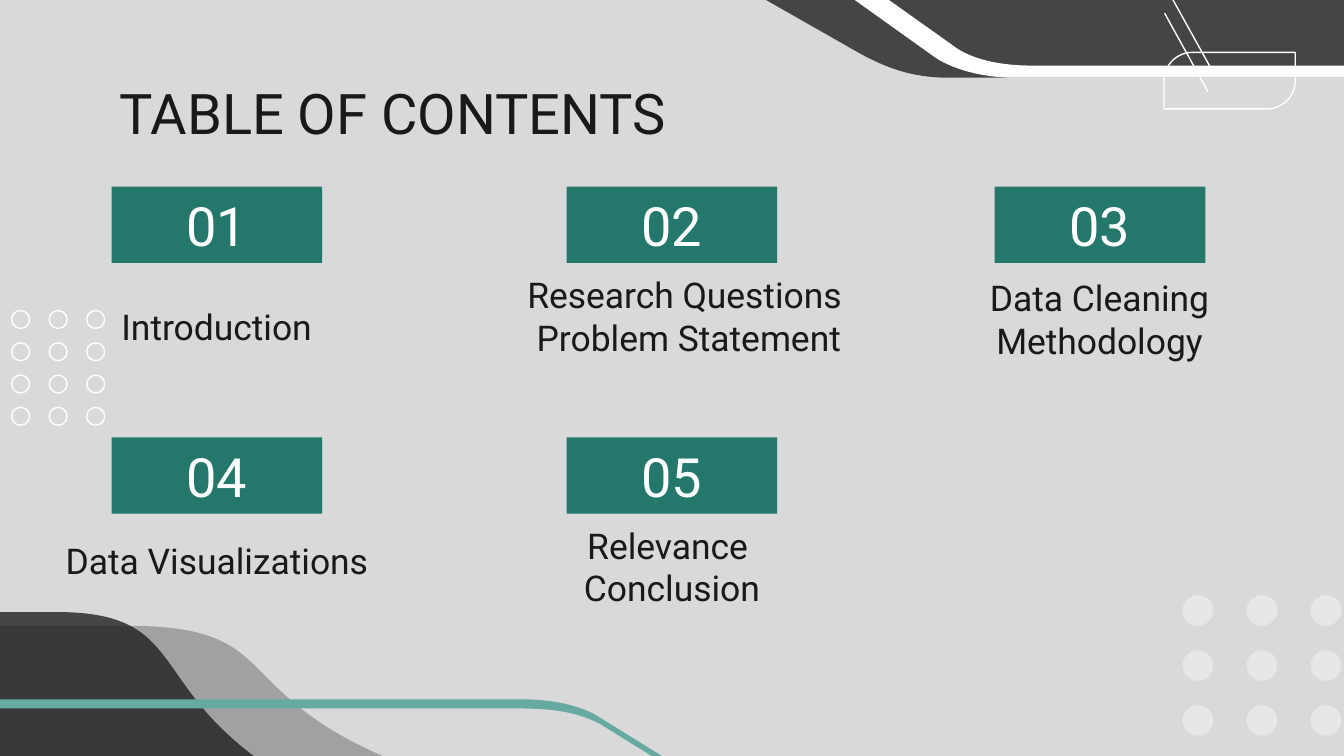
from dataclasses import dataclass

from lxml import etree
from pptx import Presentation
from pptx import util as u
from pptx.dml.color import RGBColor
from pptx.enum import shapes, text
from pptx.oxml.ns import qn

COLOURS = {"page": "D9D9D9", "ink": "191919", "white": "FFFFFF",
           "badge": "23776B", "stripe": "66AAA2"}
FONT = "Roboto"


@dataclass
class Topic:
    number: str
    column: int
    row: int
    label_area: tuple[float, float, float, float]
    lines: list[str]


@dataclass
class Dots:
    left: float
    top: float
    step_x: float
    step_y: float
    size: float
    rows: int
    filled: bool


@dataclass
class Ribbon:
    """Outline in cm: a 2-tuple is a corner, a 6-tuple a Bezier curve."""
    colour: str
    opacity: int
    outline: list[tuple]


COLUMNS = (2.11, 10.71, 18.8)
ROWS = (3.53, 8.27)
TOPICS = [
    Topic("01", 0, 0, (1.43, 5.5, 5.33, 1.32), ["Introduction"]),
    Topic("02", 1, 0, (8.92, 5.7, 8.2, 1.32), ["Research Questions ", "Problem Statement"]),
    Topic("03", 2, 0, (16.68, 5.23, 8.2, 1.85), ["Data Cleaning", "Methodology"]),
    Topic("04", 0, 1, (0, 9.93, 8.2, 1.32), ["Data Visualizations"]),
    Topic("05", 1, 1, (8.6, 9.91, 8.2, 1.85), ["Relevance ", "Conclusion"]),
]
TOP_RIBBONS = [
    Ribbon("ink", 77, [(17.93, 1.47), (17.22, 1.47, 16.71, 1.27, 16.18, 0.97),
                       (13.23, -0.71), (27.18, -0.71), (27.18, 1.47)]),
    Ribbon("white", 100, [(15.16, -0.71), (17.68, 1.09),
                          (18.03, 1.32, 18.59, 1.47, 19.18, 1.47),
                          (27.1, 1.47), (27.1, 1.24), (19.48, 1.24),
                          (18.9, 1.24, 18.34, 1.12, 18.01, 0.86), (15.8, -0.71)]),
]
BOTTOM_RIBBONS = [
    Ribbon("ink", 29, [(2.41, 11.83), (5.33, 11.83, 4.29, 13, 7.23, 14.29),
                       (-6.38, 14.29), (-6.38, 11.83)]),
    Ribbon("ink", 77, [(1.07, 11.57), (3.61, 11.57, 2.72, 13, 5.26, 14.61),
                       (-6.5, 14.61), (-6.5, 11.57)]),
    Ribbon("stripe", 100, [(11.35, 13.69), (10.82, 13.41, 10.29, 13.39, 9.6, 13.39),
                           (-12.67, 13.39), (-12.67, 13.22), (9.91, 13.22),
                           (10.44, 13.22, 10.95, 13.34, 11.25, 13.51),
                           (13.56, 14.94), (13.36, 14.94)]),
]
RING_GRID = Dots(0.22, 5.87, 0.71, 0.61, 0.34, 4, False)
DISC_GRID = Dots(22.35, 11.25, 1.21, 1.04, 0.58, 3, True)
SLASHES = [(22.89, 1.3, 22.07, -0.18), (22.83, 1.73, 22.01, 0.25)]


def rgb(name: str) -> RGBColor:
    return RGBColor.from_string(COLOURS[name])


def lengths(values) -> list:
    return [u.Cm(value) for value in values]


def paint(shape, colour: str, opacity: int = 100) -> None:
    """Solid fill, no line, no shadow."""
    shape.shadow.inherit = False
    shape.line.fill.background()
    shape.fill.solid()
    shape.fill.fore_color.rgb = rgb(colour)
    if opacity < 100:
        fill = shape.fill._xPr.find(qn("a:solidFill"))
        etree.SubElement(fill[0], qn("a:alpha"), val=str(opacity * 1000))


def stroke(line) -> None:
    line.color.rgb = rgb("white")
    line.width = u.Pt(0.75)


def outline_only(shape) -> None:
    shape.shadow.inherit = False
    shape.fill.background()
    stroke(shape.line)


def write(shape, lines: list[str], size: int, colour: str, anchor, align) -> None:
    frame = shape.text_frame
    margins = {f"margin_{side}": u.Cm(0.25) for side in ("left", "top", "right", "bottom")}
    frame_format = {"word_wrap": True, "auto_size": text.MSO_AUTO_SIZE.NONE,
                    "vertical_anchor": anchor, **margins}
    for name, value in frame_format.items():
        setattr(frame, name, value)
    for index, line in enumerate(lines):
        para = frame.add_paragraph() if index else frame.paragraphs[0]
        para.alignment = align
        span = para.add_run()
        span.text = line
        for name, value in {"size": u.Pt(size), "name": FONT, "bold": False}.items():
            setattr(span.font, name, value)
        span.font.color.rgb = rgb(colour)


def draw_ribbon(page, ribbon: Ribbon) -> None:
    points = [lengths(part[i:i + 2]) for part in ribbon.outline
              for i in range(0, len(part), 2)]
    builder = page.shapes.build_freeform(*points[0], scale=1.0)
    builder.add_line_segments(points[1:], close=True)
    shape = builder.convert_to_shape()

    # Join the three points of each curve into one Bezier segment
    segments = iter(list(shape._element.iter(qn("a:lnTo"))))
    for part in ribbon.outline[1:]:
        segment = next(segments)
        if len(part) == 6:
            curve = etree.Element(qn("a:cubicBezTo"))
            segment.addprevious(curve)
            for node in (segment, next(segments), next(segments)):
                curve.append(node[0])
                node.getparent().remove(node)
    paint(shape, ribbon.colour, ribbon.opacity)


def draw_dots(page, dots: Dots) -> None:
    group = page.shapes.add_group_shape()
    for row in range(dots.rows):
        for column in range(3):
            area = (dots.left + column * dots.step_x, dots.top + row * dots.step_y,
                    dots.size, dots.size)
            dot = group.shapes.add_shape(shapes.MSO_SHAPE.OVAL, *lengths(area))
            if dots.filled:
                paint(dot, "white", 37)
            else:
                outline_only(dot)


def draw_topic(page, topic: Topic) -> None:
    area = (COLUMNS[topic.column], ROWS[topic.row], 3.98, 1.44)
    badge = page.shapes.add_shape(shapes.MSO_SHAPE.RECTANGLE, *lengths(area))
    paint(badge, "badge")
    center = text.PP_ALIGN.CENTER
    write(badge, [topic.number], 29, "white", text.MSO_ANCHOR.MIDDLE, center)
    label = page.shapes.add_textbox(*lengths(topic.label_area))
    write(label, topic.lines, 19, "ink", text.MSO_ANCHOR.BOTTOM, center)


def draw_slash(page, ends: tuple) -> None:
    slash = page.shapes.add_connector(shapes.MSO_CONNECTOR.STRAIGHT, *lengths(ends))
    stroke(slash.line)
    etree.SubElement(slash._element.spPr, qn("a:effectLst"))


def main() -> None:
    deck = Presentation()
    deck.slide_width, deck.slide_height = lengths((25.4, 14.29))
    page = deck.slides.add_slide(deck.slide_layouts[5])
    page.background.fill.solid()
    page.background.fill.fore_color.rgb = rgb("page")

    # Title
    title = page.shapes.title
    title_area = lengths((2.01, 1.24, 21.41, 1.6))
    for name, value in zip(("left", "top", "width", "height"), title_area):
        setattr(title, name, value)
    write(title, ["TABLE OF CONTENTS"], 30, "ink", text.MSO_ANCHOR.TOP, text.PP_ALIGN.LEFT)

    # Rings and top ribbons
    draw_dots(page, RING_GRID)
    for ribbon in TOP_RIBBONS:
        draw_ribbon(page, ribbon)

    # Numbered topics
    for topic in TOPICS:
        draw_topic(page, topic)

    # Bottom ribbons, discs and corner tag
    for ribbon in BOTTOM_RIBBONS:
        draw_ribbon(page, ribbon)
    draw_dots(page, DISC_GRID)
    for ends in SLASHES:
        draw_slash(page, ends)
    tag = page.shapes.add_shape(shapes.MSO_SHAPE.ROUND_2_DIAG_RECTANGLE,
                                *lengths((22, 0.99, 2.48, 1.07)))
    tag.adjustments[0] = 0.5
    outline_only(tag)

    deck.save("out.pptx")


if __name__ == "__main__":
    main()
